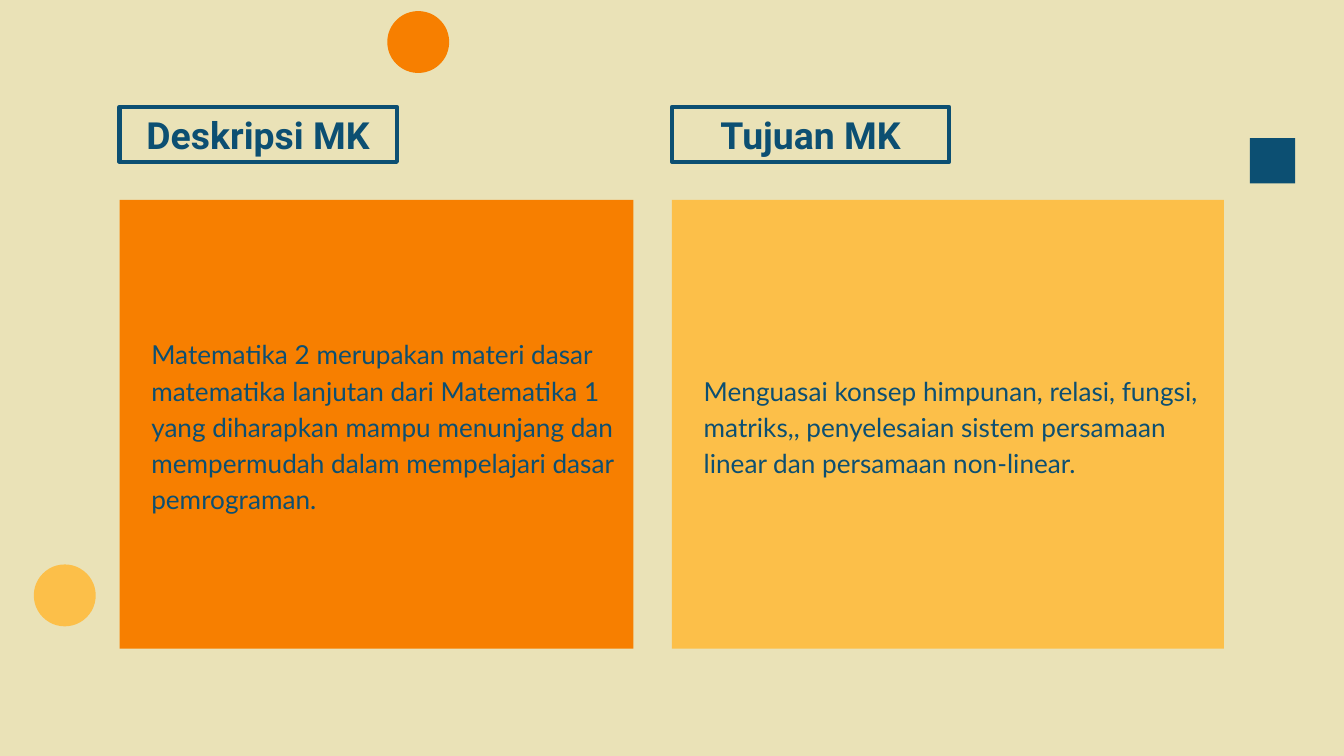
from dataclasses import dataclass

from pptx import Presentation
from pptx import util as u
from pptx.dml.color import RGBColor
from pptx.enum import shapes, text

SAND = RGBColor(0xEA, 0xE2, 0xB7)
NAVY = RGBColor(0x0C, 0x4F, 0x72)
ORANGE = RGBColor(0xF7, 0x7F, 0x00)
YELLOW = RGBColor(0xFC, 0xBF, 0x49)

RECT = shapes.MSO_SHAPE.RECTANGLE
OVAL = shapes.MSO_SHAPE.OVAL

# Shared geometry, in centimetres
HEADING_TOP, HEADING_WIDTH, HEADING_HEIGHT = 2.02, 5.24, 1.04
PANEL_TOP, PANEL_HEIGHT = 3.78, 8.48
INSET = 0.25


@dataclass
class Ornament:
    kind: shapes.MSO_SHAPE
    left: float
    top: float
    size: float
    color: RGBColor


@dataclass
class Column:
    left: float
    width: float
    color: RGBColor
    heading: str
    body: str


ORNAMENTS = [
    Ornament(RECT, 23.62, 2.61, 0.86, NAVY),
    Ornament(OVAL, 7.32, 0.21, 1.17, ORANGE),
    Ornament(OVAL, 0.64, 10.67, 1.17, YELLOW),
]

COLUMNS = [
    Column(2.26, 9.71, ORANGE, "Deskripsi MK",
           "Matematika 2 merupakan materi dasar matematika lanjutan dari "
           "Matematika 1 yang diharapkan mampu menunjang dan mempermudah "
           "dalam mempelajari dasar pemrograman."),
    Column(12.7, 10.43, YELLOW, "Tujuan MK",
           "Menguasai konsep himpunan, relasi, fungsi, matriks,, penyelesaian "
           "sistem persamaan linear dan persamaan non-linear."),
]


def add_plain(s, kind: shapes.MSO_SHAPE, left: float, top: float,
              width: float, height: float, color: RGBColor):
    """Add a filled shape without outline or shadow."""
    sp = s.shapes.add_shape(kind, u.Cm(left), u.Cm(top), u.Cm(width), u.Cm(height))
    sp.shadow.inherit = False
    sp.fill.solid()
    sp.fill.fore_color.rgb = color
    sp.line.fill.background()
    return sp


def write(sp, words: str, font: str, size: float, bold: bool, align: text.PP_ALIGN):
    """Put one formatted paragraph, centred vertically, in a shape."""
    tf = sp.text_frame
    tf.word_wrap = True
    tf.auto_size = text.MSO_AUTO_SIZE.NONE
    tf.vertical_anchor = text.MSO_ANCHOR.MIDDLE
    tf.margin_left = tf.margin_right = tf.margin_top = tf.margin_bottom = u.Cm(INSET)
    p = tf.paragraphs[0]
    p.alignment = align
    r = p.add_run()
    r.text = words
    r.font.name, r.font.size, r.font.bold = font, u.Pt(size), bold
    r.font.color.rgb = NAVY
    return p


def format_heading(sp, column: Column) -> None:
    """Turn a shape into the outlined heading of a column."""
    sp.left, sp.top = u.Cm(column.left), u.Cm(HEADING_TOP)
    sp.width, sp.height = u.Cm(HEADING_WIDTH), u.Cm(HEADING_HEIGHT)
    sp.fill.background()
    sp.line.color.rgb = NAVY
    sp.line.width = u.Pt(2.25)
    write(sp, column.heading, "Roboto", 20, True, text.PP_ALIGN.CENTER)


def add_panel(s, column: Column) -> None:
    """Add the coloured panel with the text of a column."""
    sp = add_plain(s, RECT, column.left, PANEL_TOP, column.width, PANEL_HEIGHT, column.color)
    p = write(sp, column.body, "Lato", 14, False, text.PP_ALIGN.LEFT)
    p.line_spacing = 1.15
    pPr = p._p.get_or_add_pPr()
    pPr.set("marL", str(u.Cm(0.35)))
    pPr.set("indent", "0")


def main() -> None:
    prs = Presentation()
    prs.slide_width, prs.slide_height = u.Cm(25.4), u.Cm(14.29)
    s = prs.slides.add_slide(prs.slide_layouts[5])

    # Background and ornaments
    s.background.fill.solid()
    s.background.fill.fore_color.rgb = SAND
    for o in ORNAMENTS:
        add_plain(s, o.kind, o.left, o.top, o.size, o.size, o.color)

    # Columns: the first heading is the slide title
    first, second = COLUMNS
    format_heading(s.shapes.title, first)
    format_heading(add_plain(s, RECT, second.left, HEADING_TOP, HEADING_WIDTH,
                             HEADING_HEIGHT, second.color), second)
    for column in COLUMNS:
        add_panel(s, column)

    prs.save("out.pptx")


if __name__ == "__main__":
    main()
